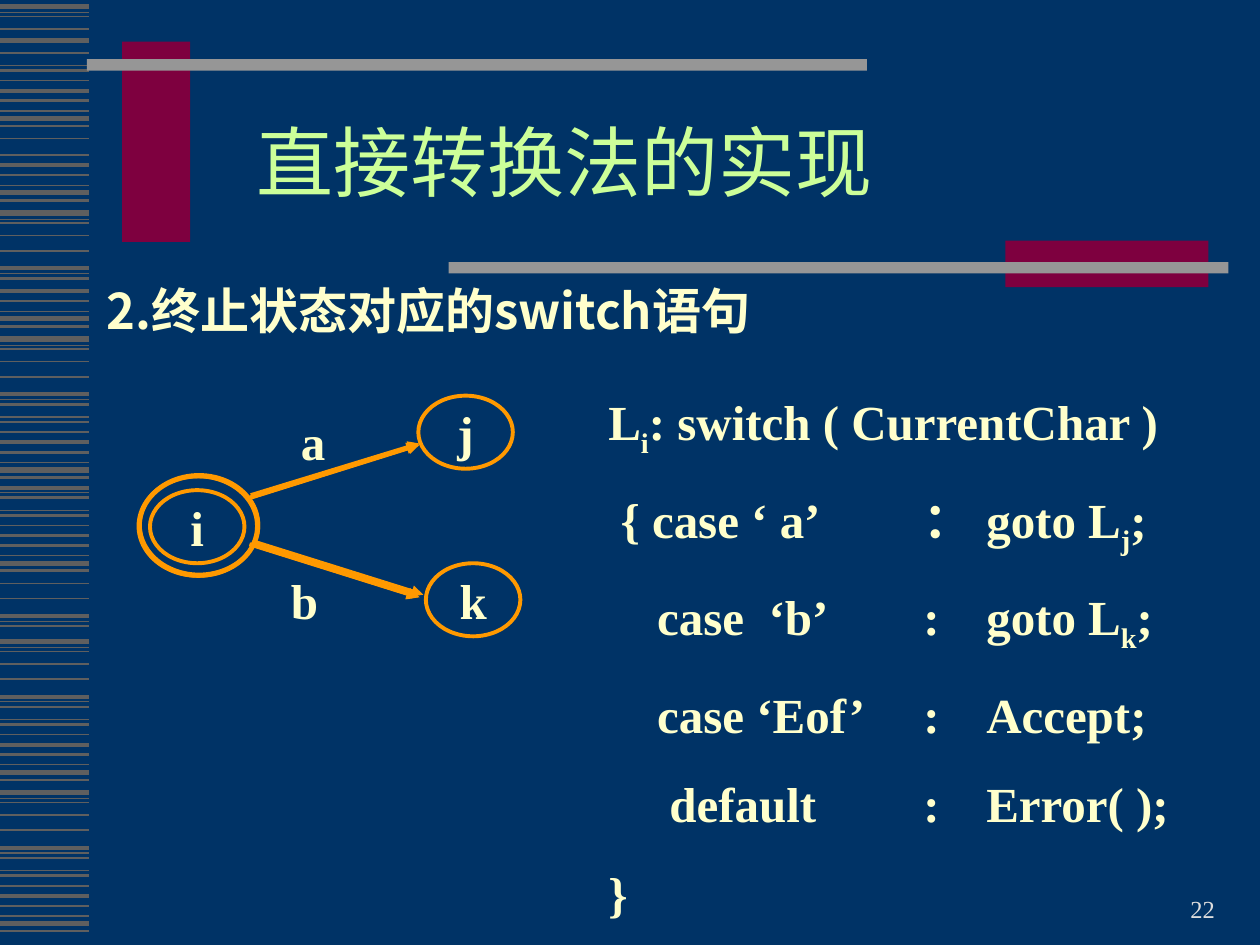
from lxml import etree
from pptx import Presentation
from pptx import util as u
from pptx.dml.color import RGBColor
from pptx.enum import shapes, text
from pptx.oxml.ns import qn

PX = 9144  # 100 px to the inch
COLORS = {
    "back": "003366", "stripe": "5F5F5F", "wine": "7E003F", "bar": "969696",
    "orange": "FF9900", "cream": "FFFFCC", "lime": "CCFF99", "pale": "DDDDDD",
}
SERIF, HAN = "Times New Roman", "Noto Sans CJK SC"
RECT, OVAL = shapes.MSO_SHAPE.RECTANGLE, shapes.MSO_SHAPE.OVAL
LEFT, MID, RIGHT = text.PP_ALIGN.LEFT, text.PP_ALIGN.CENTER, text.PP_ALIGN.RIGHT
TOP, CENTER, BOTTOM = (text.MSO_ANCHOR.TOP, text.MSO_ANCHOR.MIDDLE,
                       text.MSO_ANCHOR.BOTTOM)

# Stripe patterns: (offset, weight in points)
DENSE = [(0, 1), (8, 2.25), (16, 1.5), (24, 0.75), (30, 3), (36, 1.5)]
SPARSE = [(0, 3), (5, 0.75), (8, 1), (18, 1), (30, 1), (44, 2.25),
          (48, 0.75), (52, 1.5), (62, 0.75), (66, 1.5)]
# Pattern, its top, first and last stripe used
BANDS = [
    (SPARSE, 5, 0, 4), (SPARSE, 32, 0, 1), (SPARSE, -10, 7, 10),
    (DENSE, 64, 0, 6), (SPARSE, 80, 4, 5), (DENSE, 123, 0, 6),
    (SPARSE, 169, 0, 8), (DENSE, 223, 1, 6), (SPARSE, 269, 0, 10),
    (DENSE, 343, 0, 6), (SPARSE, 343, 5, 10), (DENSE, 417, 0, 6),
    (SPARSE, 445, 3, 8), (SPARSE, 509, 0, 10), (DENSE, 583, 0, 6),
    (SPARSE, 629, 0, 10), (DENSE, 703, 0, 6),
]
# Underscores enclose subscripts
CODE = [
    "L_i_: switch ( CurrentChar )",
    " { case ‘ a’\t：\tgoto L_j_;",
    "    case  ‘b’\t:\tgoto L_k_;",
    "    case ‘Eof’\t:\tAccept;",
    "     default\t:\tError( );",
    "}",
]


def rgb(name):
    return RGBColor.from_string(COLORS[name])


def emu(*nums):
    return [u.Emu(n * PX) for n in nums]


def write(frame, lines, size=28, color="cream", font=SERIF, bold=True,
          align=LEFT, anchor=TOP, wrap=True, gap=0, lead=None, tabs=()):
    """Fill a text frame, one paragraph a line."""
    frame.word_wrap = wrap
    frame.auto_size = text.MSO_AUTO_SIZE.NONE
    frame.vertical_anchor = anchor
    for i, line in enumerate(lines):
        para = frame.add_paragraph() if i else frame.paragraphs[0]
        para.alignment = align
        para.space_before = u.Pt(gap if i else 0)
        if lead:
            para.line_spacing = lead
        if tabs:
            stops = etree.SubElement(para._p.get_or_add_pPr(), qn("a:tabLst"))
            for stop in tabs:
                etree.SubElement(stops, qn("a:tab"), pos=str(stop * PX), algn="l")
        for j, part in enumerate(line.split("_")):
            if not part:
                continue
            run = para.add_run()
            run.text = part
            run.font.name, run.font.size = font, u.Pt(size)
            run.font.bold, run.font.color.rgb = bold, rgb(color)
            props = run._r.get_or_add_rPr()
            etree.SubElement(props, qn("a:ea"), typeface=HAN)
            if j % 2:
                props.set("baseline", "-25000")


def label(slide, box, lines, **style):
    write(slide.shapes.add_textbox(*emu(*box)).text_frame, lines, **style)


def block(slide, box, color):
    shape = slide.shapes.add_shape(RECT, *emu(*box))
    shape.shadow.inherit = False
    shape.fill.solid()
    shape.fill.fore_color.rgb = rgb(color)
    shape.line.fill.background()


def ring(slide, box, name=""):
    shape = slide.shapes.add_shape(OVAL, *emu(*box))
    shape.shadow.inherit = False
    shape.fill.background()
    shape.line.color.rgb = rgb("orange")
    shape.line.width = u.Pt(2.25)
    if name:
        write(shape.text_frame, [name], align=MID, anchor=CENTER, wrap=False)


def stroke(slide, ends, color, weight, arrow=False):
    line = slide.shapes.add_connector(shapes.MSO_CONNECTOR.STRAIGHT, *emu(*ends))
    line.line.color.rgb = rgb(color)
    line.line.width = u.Pt(weight)
    if arrow:
        etree.SubElement(line.line._get_or_add_ln(), qn("a:tailEnd"),
                         type="triangle")
    etree.SubElement(line._element.spPr, qn("a:effectLst"))


def edge(slide, x, y, wide):
    """Striped strip down the side."""
    for marks, top, first, last in BANDS:
        for off, weight in marks[first:last]:
            level = y + top + off
            stroke(slide, (x, level, x + wide, level), "stripe", weight)


def header(slide, x, y, wide, high):
    """Title between two bars with blocks behind them."""
    bar = 619
    block(slide, (x + 28, y, 54, 159), "wine")
    block(slide, (x, y + 14, bar, 9), "bar")
    block(slide, (x + 729, y + high - 37, 161, 37), "wine")
    block(slide, (x + wide - bar, y + 175, bar, 9), "bar")
    title = slide.shapes.title
    title.left, title.top, title.width, title.height = emu(x + 37, y + 58, 685, 84)
    write(title.text_frame, ["直接转换法的实现"], size=44, color="lime",
          bold=False, align=MID, anchor=CENTER, lead=0.85)


def graph(slide, x, y):
    """Final state i with its moves to j and k."""
    for name, dx, dy in (("i", 8, 75), ("j", 221, 0), ("k", 227, 133)):
        ring(slide, (x + dx, y + dy, 75, 58), name)
    for dx, dy in ((0, 64), (-1, 64), (0, 63)):
        ring(slide, (x + dx, y + dy, 94, 79))
    for dx, dy, rise in ((88, 81, -42), (87, 81, -42), (88, 79, -41),
                         (88, 118, 42), (87, 118, 42), (91, 116, 42)):
        ends = (x + dx, y + dy, x + dx + 134, y + dy + rise)
        stroke(slide, ends, "orange", 2.25, arrow=True)
    for name, dx, dy in (("a", 118, 8), ("b", 110, 134)):
        label(slide, (x + dx, y + dy, 67, 57), [name])


def main():
    deck = Presentation()
    deck.slide_width, deck.slide_height = emu(1000, 750)
    slide = deck.slides.add_slide(deck.slide_layouts[5])
    slide.background.fill.solid()
    slide.background.fill.fore_color.rgb = rgb("back")
    edge(slide, 0, 0, 71)
    header(slide, 69, 33, 906, 195)
    label(slide, (75, 218, 850, 60), ["2.终止状态对应的switch语句"], font=HAN)
    graph(slide, 111, 314)
    label(slide, (473, 306, 483, 431), CODE, gap=17.5, tabs=(250, 300))
    label(slide, (734, 688, 240, 50), ["22"], size=14, color="pale",
          bold=False, align=RIGHT, anchor=BOTTOM)
    deck.save("out.pptx")


if __name__ == "__main__":
    main()
